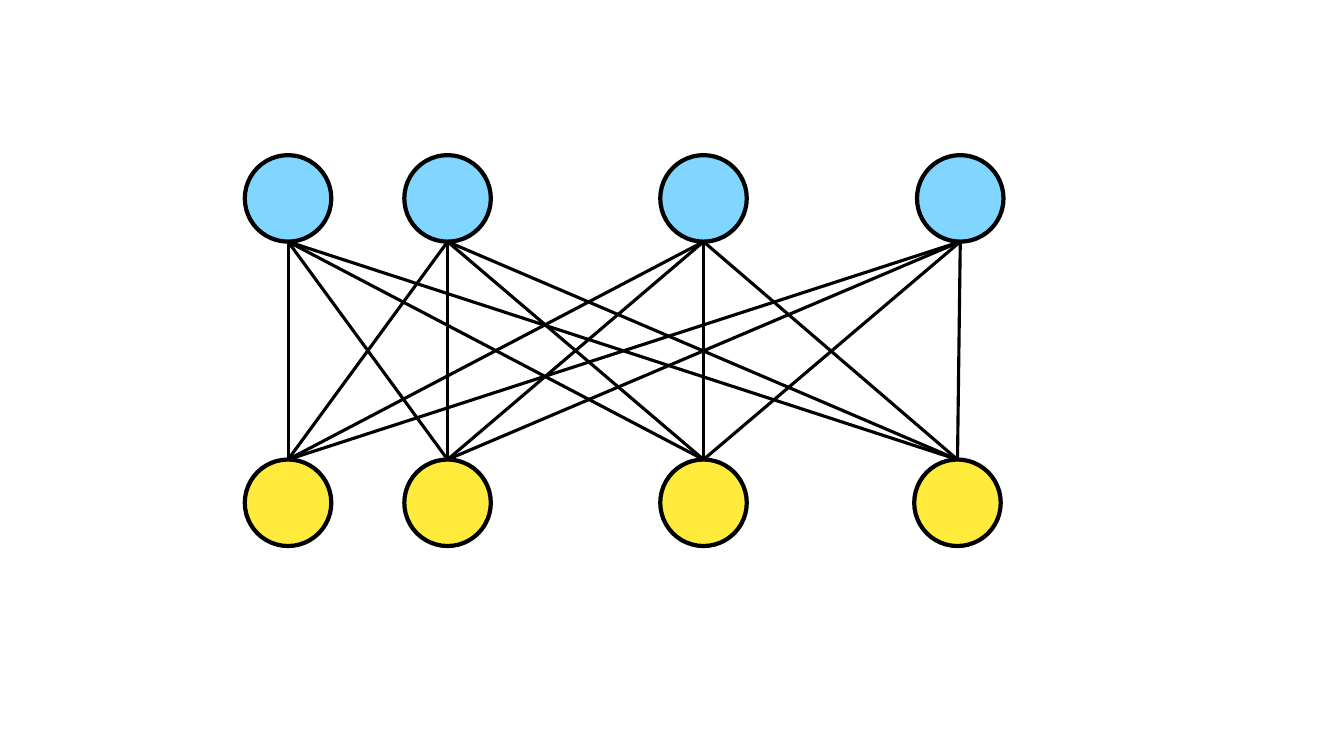
"""Build a slide with two fully connected rows of four nodes."""
from itertools import product

from lxml import etree
from pptx import Presentation
from pptx.dml.color import RGBColor
from pptx.enum import shapes
from pptx.oxml import ns
from pptx.util import Cm, Pt

COLORS = {"blue": "80D6FF", "yellow": "FFEB3B", "black": "000000"}
ROWS = [
    {"fill": "blue", "top": 3.91, "lefts": [6.17, 10.19, 16.64, 23.11]},
    {"fill": "yellow", "top": 11.58, "lefts": [6.17, 10.19, 16.64, 23.04]},
]
DIAMETER = 2.18


def set_line(sp, width):
    sp.line.color.rgb = RGBColor.from_string(COLORS["black"])
    sp.line.width = Pt(width)


def add_node(s, left, top, fill):
    sp = s.shapes.add_shape(shapes.MSO_SHAPE.OVAL, Cm(left), Cm(top),
                            Cm(DIAMETER), Cm(DIAMETER))
    sp.shadow.inherit = False
    sp.fill.solid()
    sp.fill.fore_color.rgb = RGBColor.from_string(COLORS[fill])
    set_line(sp, 3)
    return sp


def add_edge(s, upper, lower):
    x, y = upper.left + upper.width // 2, upper.top + upper.height
    cx = s.shapes.add_connector(shapes.MSO_CONNECTOR.STRAIGHT, x, y,
                                lower.left + lower.width // 2, lower.top)
    cx.end_connect(lower, 0)
    set_line(cx, 2.25)
    etree.SubElement(cx._element.spPr, ns.qn("a:effectLst"))


def main():
    prs = Presentation()
    prs.slide_width, prs.slide_height = Cm(33.87), Cm(19.05)
    s = prs.slides.add_slide(prs.slide_layouts[6])
    uppers, lowers = [
        [add_node(s, left, row["top"], row["fill"]) for left in row["lefts"]]
        for row in ROWS
    ]
    for upper, lower in product(uppers, lowers):
        add_edge(s, upper, lower)
    prs.save("out.pptx")


if __name__ == "__main__":
    main()
